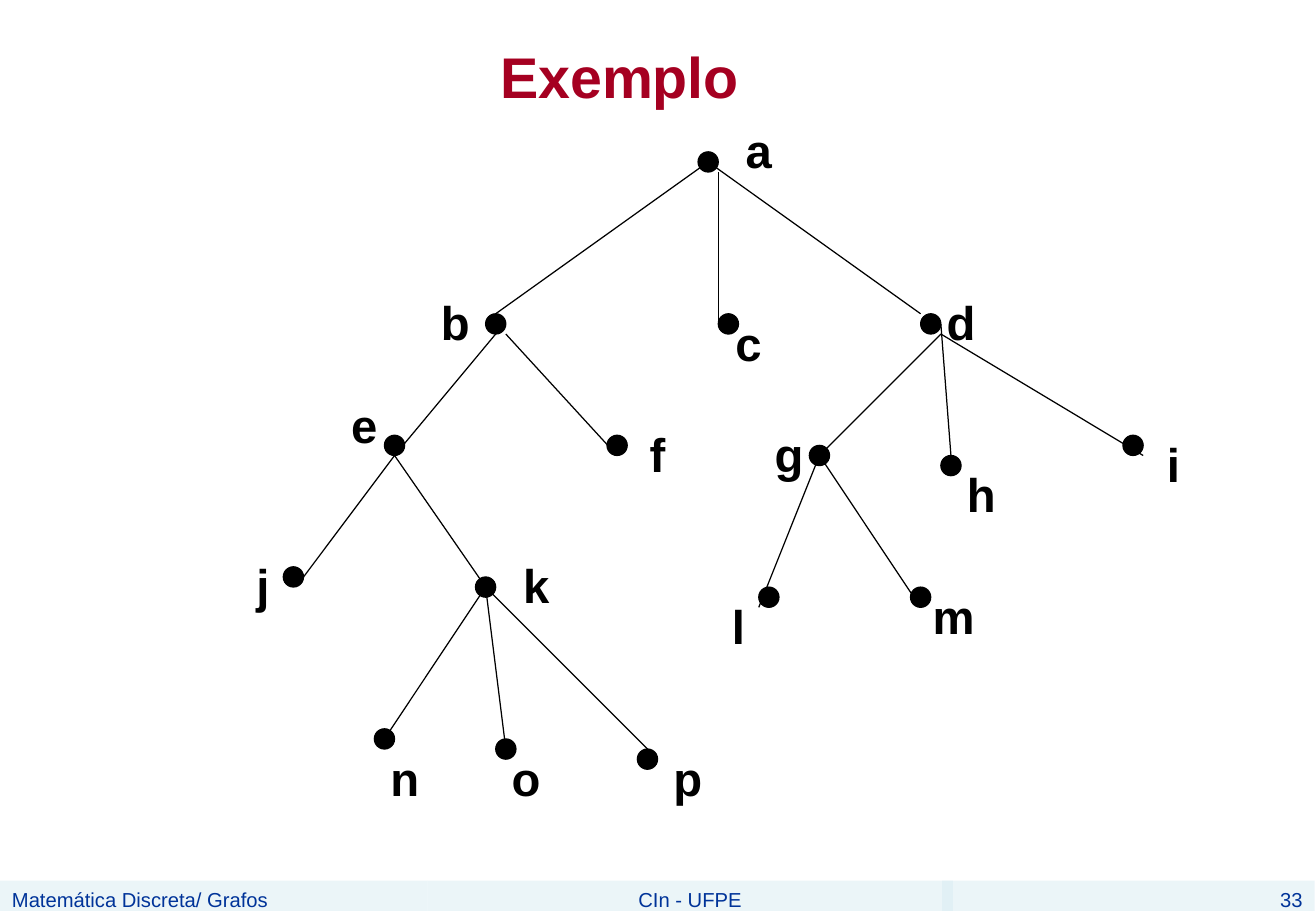
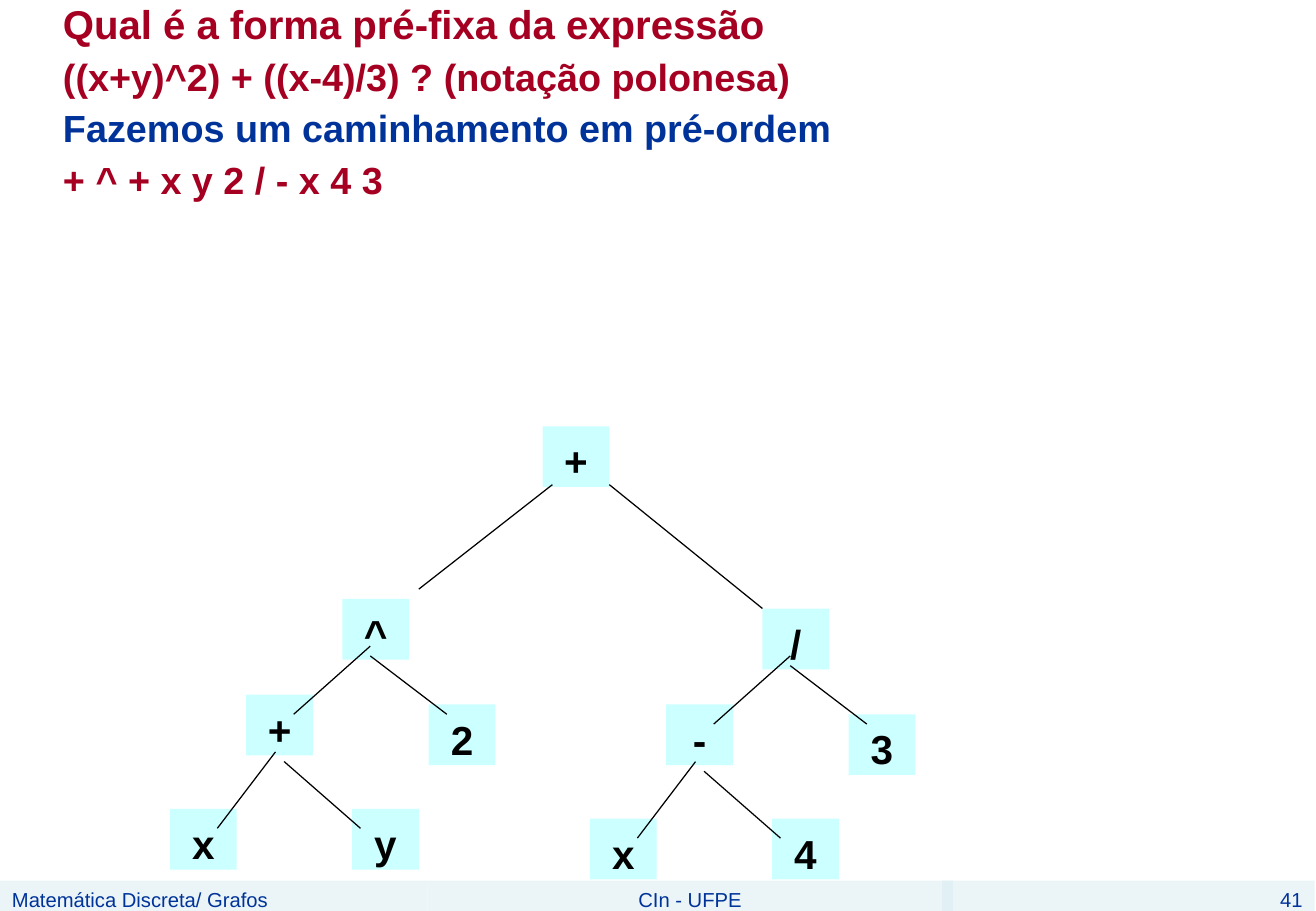
from lxml import etree
from pptx import Presentation
from pptx.dml.color import RGBColor
from pptx.enum.shapes import MSO_CONNECTOR, MSO_SHAPE
from pptx.enum.text import MSO_ANCHOR, PP_ALIGN
from pptx.oxml.ns import qn
from pptx.util import Pt

COLORS = {"ink": "000000", "red": "A50021", "blue": "003399",
          "band": "D9ECF3", "node": "CCFFFF"}
FONT = "Arial"


def write(shape, lines, align, top, bottom=2, anchor=MSO_ANCHOR.TOP):
    """Fill a shape with bold or plain lines: (text, size, color, bold)."""
    frame = shape.text_frame
    frame.word_wrap = True
    frame.vertical_anchor = anchor
    frame.margin_left = frame.margin_right = Pt(7.2)
    frame.margin_top, frame.margin_bottom = Pt(top), Pt(bottom)
    for index, (text, size, color, bold) in enumerate(lines):
        paragraph = frame.add_paragraph() if index else frame.paragraphs[0]
        paragraph.alignment = align
        run = paragraph.add_run()
        run.text = text
        run.font.name, run.font.size, run.font.bold = FONT, Pt(size), bold
        run.font.color.rgb = RGBColor.from_string(COLORS[color])


def draw_edge(slide, x1, y1, x2, y2):
    edge = slide.shapes.add_connector(
        MSO_CONNECTOR.STRAIGHT, Pt(x1), Pt(y1), Pt(x2), Pt(y2))
    edge.line.color.rgb = RGBColor.from_string(COLORS["ink"])
    edge.line.width = Pt(0.75)
    etree.SubElement(edge._element.spPr, qn("a:effectLst"))


deck = Presentation()
deck.slide_width, deck.slide_height = Pt(780.48), Pt(540)
example, prefix = [deck.slides.add_slide(deck.slide_layouts[6]) for _ in range(2)]

# Footer bands shared by both slides
for slide, number in ((example, "33"), (prefix, "41")):
    for left, width, text, align in (
            (0, 253.44, "Matemática Discreta/ Grafos", PP_ALIGN.LEFT),
            (253.44, 311.76, "CIn - UFPE", PP_ALIGN.CENTER),
            (558.72, 221.04, number, PP_ALIGN.RIGHT)):
        band = slide.shapes.add_shape(
            MSO_SHAPE.RECTANGLE, Pt(left), Pt(522), Pt(width), Pt(18))
        band.shadow.inherit = False
        band.fill.solid()
        band.fill.fore_color.rgb = RGBColor.from_string(COLORS["band"])
        tint = band._element.spPr.find(qn("a:solidFill"))[0]
        etree.SubElement(tint, qn("a:alpha"), val="50000")
        band.line.fill.background()
        write(band, [(text, 12, "blue", False)], align, 4.2, 0)

# Slide 1: title
title = example.shapes.add_textbox(Pt(36), Pt(0), Pt(663), Pt(90))
write(title, [("Exemplo", 34, "red", True)], PP_ALIGN.CENTER, 3.6, 3.6,
      MSO_ANCHOR.MIDDLE)

# Slide 1: vertices, each with the corner of its dot and of its label
vertices = {
    "a": (414, 90, 432, 66), "b": (288, 186, 252, 168),
    "c": (426, 186, 426, 180), "d": (546, 186, 552, 168),
    "e": (228, 258, 198, 229), "f": (360, 258, 372, 246),
    "g": (480, 264, 450, 246), "h": (558, 270, 564, 270),
    "i": (666, 258, 678, 252), "j": (168, 336, 138, 324),
    "k": (282, 342, 300, 324), "l": (450, 348, 420, 348),
    "m": (540, 348, 546, 342), "n": (222, 432, 222, 438),
    "o": (294, 438, 294, 438), "p": (378, 444, 390, 438),
}
for letter, (dot_x, dot_y, label_x, label_y) in vertices.items():
    dot = example.shapes.add_shape(
        MSO_SHAPE.OVAL, Pt(dot_x), Pt(dot_y), Pt(12), Pt(12))
    dot.shadow.inherit = False
    dot.fill.solid()
    dot.fill.fore_color.rgb = RGBColor.from_string(COLORS["ink"])
    dot.line.color.rgb = RGBColor.from_string(COLORS["ink"])
    dot.line.width = Pt(0.75)
    label = example.shapes.add_textbox(Pt(label_x), Pt(label_y), Pt(36), Pt(41))
    write(label, [(letter, 28, "ink", True)], PP_ALIGN.CENTER, 6)

# Slide 1: edges, from each start to its ends
branches = (
    ((420, 96), ((294, 186), (546, 186))),
    ((426, 102), ((426, 192),)),
    ((300, 198), ((366, 270),)),
    ((294, 198), ((234, 270),)),
    ((234, 270), ((180, 342), (288, 348))),
    ((288, 348), ((228, 438), (300, 444), (390, 450))),
    ((558, 198), ((486, 270), (678, 270))),
    ((558, 192), ((564, 270),)),
    ((486, 270), ((450, 360), (546, 360))),
)
for start, ends in branches:
    for end in ends:
        draw_edge(example, *start, *end)

# Slide 2: question and answer
question = prefix.shapes.add_textbox(Pt(0), Pt(0), Pt(736), Pt(142))
write(question, [
    ("Qual é a forma pré-fixa da expressão", 23.8, "red", True),
    ("((x+y)^2) + ((x-4)/3) ? (notação polonesa)", 22.4, "red", True),
    ("Fazemos um caminhamento em pré-ordem", 22.4, "blue", True),
    ("+ ^ + x y 2 / - x 4 3", 22.4, "red", True),
], PP_ALIGN.LEFT, 5)
for index, paragraph in enumerate(question.text_frame.paragraphs):
    paragraph.line_spacing = 0.8
    paragraph.space_before = Pt(9 if index else 0)
    properties = paragraph._p.get_or_add_pPr()
    properties.set("marL", str(Pt(27.4)))
    properties.set("indent", str(Pt(2.9)))

# Slide 2: the two operand subtrees have one layout, shifted
subtree_corners = ((203, 355), (146, 411.8), (254.2, 417.6),
                   (100.8, 479.5), (208.8, 479.5))
subtree_edges = ((219.6, 383, 174.2, 423.4), (219.6, 388.8, 265, 423.4),
                 (163.4, 445.7, 128.9, 491), (168.5, 451.4, 213.8, 491))
nodes = [("+", 321.8, 252.7)]
edges = [(327.6, 287.3, 248.4, 349.2), (361.4, 287.3, 452.2, 360.7)]
for symbols, dx, dy in (("^+2xy", 0, 0), ("/-3x4", 249.1, 5.8)):
    nodes += [(symbol, x + dx, y + dy)
              for symbol, (x, y) in zip(symbols, subtree_corners)]
    edges += [(x1 + dx, y1 + dy, x2 + dx, y2 + dy)
              for x1, y1, x2, y2 in subtree_edges]

for symbol, x, y in nodes:
    node = prefix.shapes.add_shape(
        MSO_SHAPE.RECTANGLE, Pt(x), Pt(y), Pt(39.6), Pt(36))
    node.shadow.inherit = False
    node.fill.solid()
    node.fill.fore_color.rgb = RGBColor.from_string(COLORS["node"])
    node.line.fill.background()
    write(node, [(symbol, 24, "ink", True)], PP_ALIGN.CENTER, 6)
for edge in edges:
    draw_edge(prefix, *edge)

deck.save("out.pptx")
